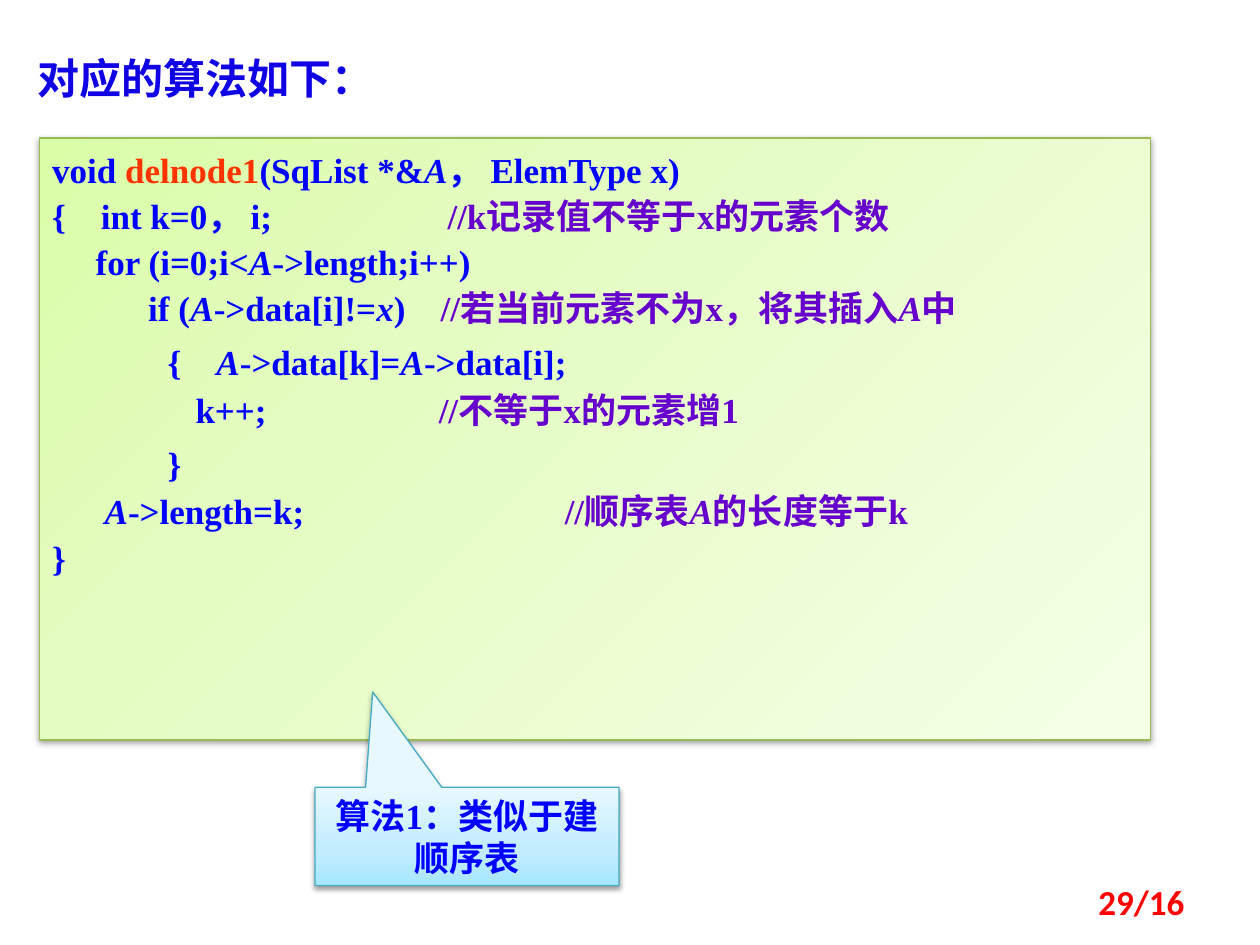
"""Build a slide with a list-deletion algorithm, its callout and a page number."""
from pptx import Presentation
from pptx.dml.color import RGBColor
from pptx.enum.shapes import MSO_SHAPE as Shape
from pptx.enum.text import MSO_ANCHOR as Anchor, MSO_AUTO_SIZE as AutoSize, PP_ALIGN as Align
from pptx.oxml import parse_xml
from pptx.oxml.ns import nsdecls, qn
from pptx.util import Cm, Pt


def add_run(paragraph, text, color, **formats):
    run = paragraph.add_run()
    run.text = text
    for name, value in formats.items():
        setattr(run.font, name, value)
    run.font.color.rgb = RGBColor.from_string(color)


def style_panel(shape, stops, angle, line_color):
    shape.line.color.rgb = RGBColor.from_string(line_color)
    shape.line.width = Pt(0.75)
    shape.shadow.inherit = False
    shape.fill.gradient()
    properties = shape._element.spPr
    stop_xml = "".join(
        f'<a:gs pos="{position * 1000}"><a:srgbClr val="{color}"/></a:gs>'
        for position, color in zip((0, 35, 100), stops))
    properties.replace(properties.find(qn("a:gradFill")), parse_xml(
        f'<a:gradFill {nsdecls("a")} rotWithShape="1"><a:gsLst>{stop_xml}</a:gsLst>'
        f'<a:lin ang="{angle * 60000}" scaled="0"/></a:gradFill>'))
    properties.find(qn("a:effectLst")).append(parse_xml(
        f'<a:outerShdw {nsdecls("a")} blurRad="{Pt(3.1)}" dist="{Pt(1.6)}" dir="5400000" '
        'rotWithShape="0"><a:srgbClr val="000000"><a:alpha val="38000"/></a:srgbClr></a:outerShdw>'))


BLUE, PURPLE, ORANGE = "0000FF", "6600CC", "FF3300"
BODY = {"name": "Times New Roman", "size": Pt(20), "bold": True}
STYLES = {
    "code": (BLUE, {}),
    "variable": (BLUE, {"italic": True}),
    "indent": (BLUE, {"size": Pt(24)}),
    "function": (ORANGE, {}),
    "note": (PURPLE, {}),
    "note variable": (PURPLE, {"italic": True}),
}
CODE_LINES = [
    [("code", "void "), ("function", "delnode1"), ("code", "(SqList *&"),
     ("variable", "A"), ("code", "， ElemType x)")],
    [("code", "{    int k=0， i;\t\t "), ("note", " //k记录值不等于x的元素个数")],
    [("code", "     for (i=0;i<"), ("variable", "A"), ("code", "->length;i++)")],
    [("code", "           if ("), ("variable", "A"), ("code", "->data[i]!="),
     ("variable", "x"), ("code", ")    "), ("note", "//若当前元素不为x，将其插入"),
     ("note variable", "A"), ("note", "中")],
    [("indent", "           "), ("code", "{    "), ("variable", "A"),
     ("code", "->data[k]="), ("variable", "A"), ("code", "->data[i];")],
    [("code", "\t  k++;\t\t"), ("note", " //不等于x的元素增1")],
    [("indent", "           "), ("code", "}")],
    [("code", "      "), ("variable", "A"), ("code", "->length=k;\t\t"),
     ("note", " //顺序表"), ("note variable", "A"), ("note", "的长度等于k")],
    [("code", "}")],
]
TAB_STOPS = "".join(f'<a:tab pos="{Cm(2.54 * step)}" algn="l"/>' for step in range(1, 6))

presentation = Presentation()
presentation.slide_width, presentation.slide_height = Cm(25.4), Cm(19.05)
slide = presentation.slides.add_slide(presentation.slide_layouts[5])

title = slide.shapes.title
title_place = {"left": Cm(0.5), "top": Cm(0.93), "width": Cm(23), "height": Cm(1.28)}
for name, value in title_place.items():
    setattr(title, name, value)
title_format = {"vertical_anchor": Anchor.TOP, "auto_size": AutoSize.NONE, "word_wrap": True}
for name, value in title_format.items():
    setattr(title.text_frame, name, value)
paragraph = title.text_frame.paragraphs[0]
paragraph.alignment = Align.LEFT
add_run(paragraph, "对应的算法如下：", "1000E4", name="Noto Sans CJK SC", size=Pt(24), bold=True)

code_box = slide.shapes.add_shape(Shape.RECTANGLE, Cm(0.8), Cm(2.78), Cm(22.4), Cm(12.14))
style_panel(code_box, ("DAFDA7", "E4FCC2", "F5FFE7"), 45, "98B955")
frame = code_box.text_frame
frame.word_wrap = True
frame.vertical_anchor = Anchor.TOP
for index, pieces in enumerate(CODE_LINES):
    paragraph = frame.add_paragraph() if index else frame.paragraphs[0]
    paragraph.alignment = Align.LEFT
    paragraph.line_spacing = 1.1
    paragraph._p.get_or_add_pPr().append(
        parse_xml(f'<a:tabLst {nsdecls("a")}>{TAB_STOPS}</a:tabLst>'))
    for style, text in pieces:
        color, changes = STYLES[style]
        add_run(paragraph, text, color, **{**BODY, **changes})

callout = slide.shapes.add_shape(
    Shape.RECTANGULAR_CALLOUT, Cm(6.35), Cm(15.87), Cm(6.13), Cm(1.98))
callout.adjustments[0], callout.adjustments[1] = -0.31, -1.47
style_panel(callout, ("A7E6FF", "C1EDFF", "E7F8FF"), 270, "46AAC5")
callout.text_frame.word_wrap = True
paragraph = callout.text_frame.paragraphs[0]
paragraph.alignment = Align.CENTER
add_run(paragraph, "算法1：类似于建顺序表", BLUE, **BODY)

page_number = slide.shapes.add_textbox(Cm(18.2), Cm(17.67), Cm(5.93), Cm(1.02))
page_number.text_frame.word_wrap = True
page_number.text_frame.vertical_anchor = Anchor.MIDDLE
paragraph = page_number.text_frame.paragraphs[0]
paragraph.alignment = Align.RIGHT
add_run(paragraph, "29/16", "FF0000", name="Calibri", size=Pt(20), bold=True)

presentation.save("out.pptx")
